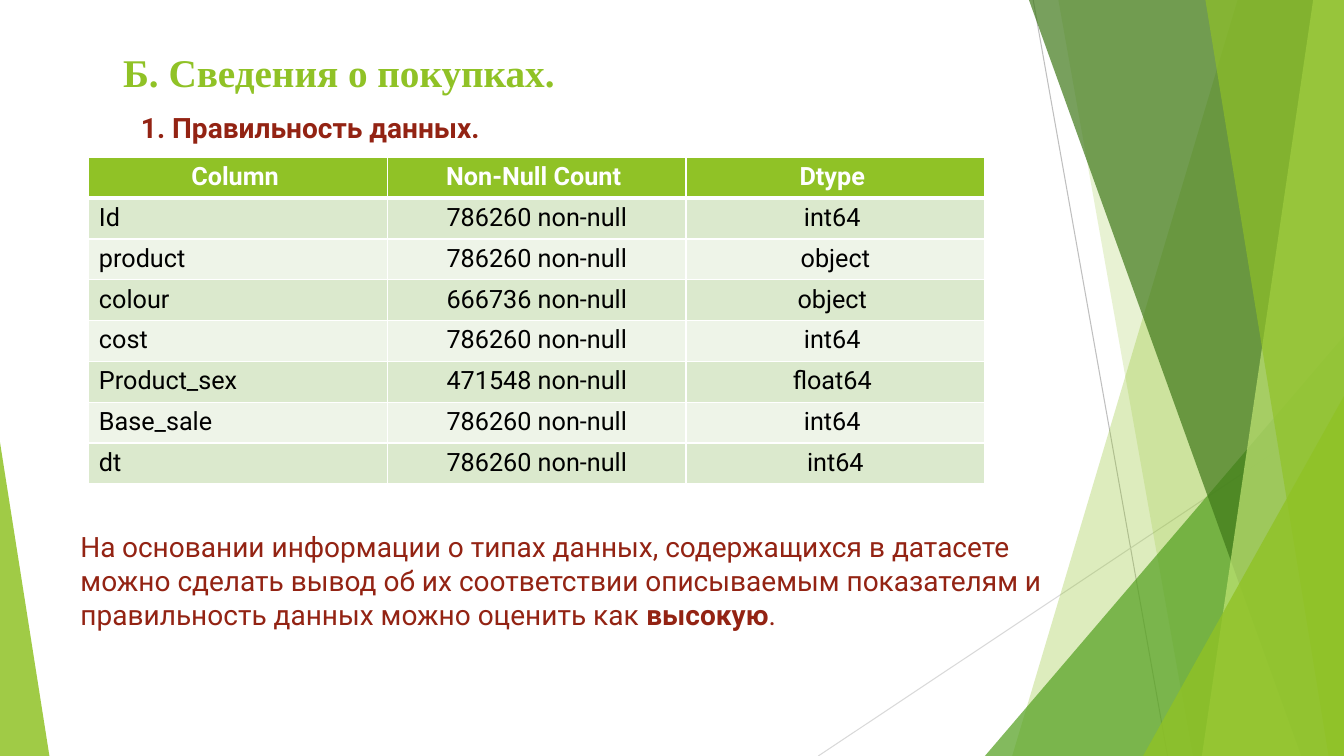
from dataclasses import dataclass

from lxml import etree
from pptx import Presentation
from pptx import util as u
from pptx.dml import color
from pptx.enum import shapes, text
from pptx.oxml import ns

Pt = u.Pt


@dataclass(frozen=True)
class Theme:
    green: str = "90C226"
    leaf: str = "54A021"
    forest: str = "3F7819"
    lime: str = "C0E474"
    brown: str = "932313"
    white: str = "FFFFFF"
    black: str = "000000"
    bands: tuple = ("DBE9CD", "EEF4E8")
    lines: tuple = ("BFBFBF", "D9D9D9")
    sans: str = "Roboto"
    serif: str = "Times New Roman"
    title_size: int = 28
    text_size: int = 20
    table_size: int = 18


THEME = Theme()
WIDTH, HEIGHT = 960, 540

TITLE = "Б. Сведения о покупках."
SUBTITLE = "1. Правильность данных."
CONCLUSION = (
    "основании информации о типах данных, содержащихся в датаcете можно сделать вывод "
    "об их соответствии описываемым показателям и правильность данных можно оценить как "
)
ROWS = [
    ("Column ", "Non-Null Count ", "Dtype "),
    ("Id", "786260 non-null", "int64 "),
    ("product", "786260 non-null", "object"),
    ("colour", "666736 non-null", "object "),
    ("cost", "786260 non-null", "int64 "),
    ("Product_sex", "471548 non-null", "float64 "),
    ("Base_sale", "786260 non-null", "int64 "),
    ("dt", "786260 non-null", "int64"),
]


def rgb(value):
    return color.RGBColor.from_string(value)


def style(**changes):
    return {"name": THEME.sans, "size": Pt(THEME.text_size), "bold": False,
            "color": THEME.brown, **changes}


def add_span(para, words, look):
    span = para.add_run()
    span.text = words
    for key, value in look.items():
        if key == "color":
            span.font.color.rgb = rgb(value)
        else:
            setattr(span.font, key, value)


def add_text(page, place, spans):
    box = page.shapes.add_textbox(*map(Pt, place))
    box.text_frame.word_wrap = True
    for words, look in spans:
        add_span(box.text_frame.paragraphs[0], words, look)


def paint(shape, fill, opacity):
    """Plain see-through fill, no outline or shadow."""
    shape.shadow.inherit = False
    shape.line.fill.background()
    shape.fill.solid()
    shape.fill.fore_color.rgb = rgb(fill)
    tint = shape.fill._xPr.find(".//" + ns.qn("a:srgbClr"))
    etree.SubElement(tint, ns.qn("a:alpha")).set("val", str(opacity * 1000))


def add_facet(page, top_left, bottom_left, fill, opacity):
    """Slanted panel that reaches the right edge of the slide."""
    builder = page.shapes.build_freeform(Pt(top_left), 0)
    corners = [(WIDTH, 0), (WIDTH, HEIGHT), (bottom_left, HEIGHT)]
    builder.add_line_segments([(Pt(x), Pt(y)) for x, y in corners], close=True)
    paint(builder.convert_to_shape(), fill, opacity)


def add_corner(page, left, top, width, apex, fill, opacity):
    """Right-angled triangle standing on the bottom edge."""
    corner = page.shapes.add_shape(
        shapes.MSO_SHAPE.ISOSCELES_TRIANGLE,
        Pt(left), Pt(top), Pt(width), Pt(HEIGHT - top))
    corner.adjustments[0] = apex
    paint(corner, fill, opacity)


def add_line(page, ends, stroke):
    line = page.shapes.add_connector(shapes.MSO_CONNECTOR.STRAIGHT, *map(Pt, ends))
    line.line.color.rgb = rgb(stroke)
    line.line.width = Pt(0.75)
    etree.SubElement(line._element.spPr, ns.qn("a:effectLst"))


def add_decor(page):
    add_line(page, (738, 0, 834, HEIGHT), THEME.lines[0])
    add_line(page, (WIDTH, 290, 584.5, HEIGHT), THEME.lines[1])
    add_facet(page, 884, 723, THEME.green, 30)
    add_facet(page, 756, 852, THEME.green, 20)
    add_corner(page, 703.5, 240, 256.5, 1, THEME.leaf, 72)
    add_facet(page, 735, 929.5, THEME.forest, 70)
    add_facet(page, 938, 858.5, THEME.lime, 70)
    add_facet(page, 861, 949, THEME.green, 65)
    add_corner(page, 816.5, 283, 143.5, 1, THEME.green, 80)
    add_corner(page, 0, 316, 35.3, 0, THEME.green, 85)


def set_title(page):
    title = page.shapes.title
    place = {"left": 45.4, "top": 26, "width": 677, "height": 44}
    for key, value in place.items():
        setattr(title, key, Pt(value))
    frame = title.text_frame
    layout = {"word_wrap": True, "auto_size": text.MSO_AUTO_SIZE.NONE,
              "vertical_anchor": text.MSO_ANCHOR.TOP}
    for key, value in layout.items():
        setattr(frame, key, value)
    para = frame.paragraphs[0]
    spacing = {"alignment": text.PP_ALIGN.LEFT, "line_spacing": 1.15, "space_after": Pt(8)}
    for key, value in spacing.items():
        setattr(para, key, value)
    para._p.get_or_add_pPr().set("indent", str(Pt(35.3)))
    add_span(para, TITLE, style(name=THEME.serif, size=Pt(THEME.title_size),
                                bold=True, color=THEME.green))


def add_borders(cell, widths):
    props = cell._tc.get_or_add_tcPr()
    for side, width in widths.items():
        edge = etree.SubElement(props, ns.qn("a:ln" + side), w=str(Pt(width)))
        fill = etree.SubElement(edge, ns.qn("a:solidFill"))
        etree.SubElement(fill, ns.qn("a:srgbClr"), val=THEME.white)


def add_data_table(page):
    row_height, column_width = 29.16, 213.3
    columns = len(ROWS[0])
    table = page.shapes.add_table(
        len(ROWS), columns, Pt(63.5), Pt(112.4),
        Pt(column_width * columns), Pt(row_height * len(ROWS))).table
    for column in table.columns:
        column.width = Pt(column_width)
    for r, values in enumerate(ROWS):
        table.rows[r].height = Pt(row_height)
        header = r == 0
        look = style(size=Pt(THEME.table_size), bold=header,
                     color=THEME.white if header else THEME.black)
        for c, words in enumerate(values):
            cell = table.cell(r, c)
            # The rule under the header is thicker than the others
            add_borders(cell, {"L": 1, "R": 1, "T": 3 if r == 1 else 1,
                               "B": 3 if header else 1})
            cell.fill.solid()
            cell.fill.fore_color.rgb = rgb(THEME.green if header else THEME.bands[(r - 1) % 2])
            para = cell.text_frame.paragraphs[0]
            if header or c > 0:
                para.alignment = text.PP_ALIGN.CENTER
            add_span(para, words, look)


def main():
    deck = Presentation()
    deck.slide_width, deck.slide_height = Pt(WIDTH), Pt(HEIGHT)
    page = deck.slides.add_slide(deck.slide_layouts[5])

    # Background facets
    add_decor(page)

    # Headings
    set_title(page)
    add_text(page, (93.6, 75.6, 330.5, 31.5), [(SUBTITLE, style(bold=True))])

    # Column summary and conclusion
    add_data_table(page)
    add_text(page, (50.4, 375, 730, 80), [
        ("На", style()),
        (" ", style(name=THEME.serif, size=Pt(THEME.table_size), color=THEME.black)),
        (CONCLUSION, style()),
        ("высокую", style(bold=True)),
        (".", style()),
    ])
    deck.save("out.pptx")


if __name__ == "__main__":
    main()
